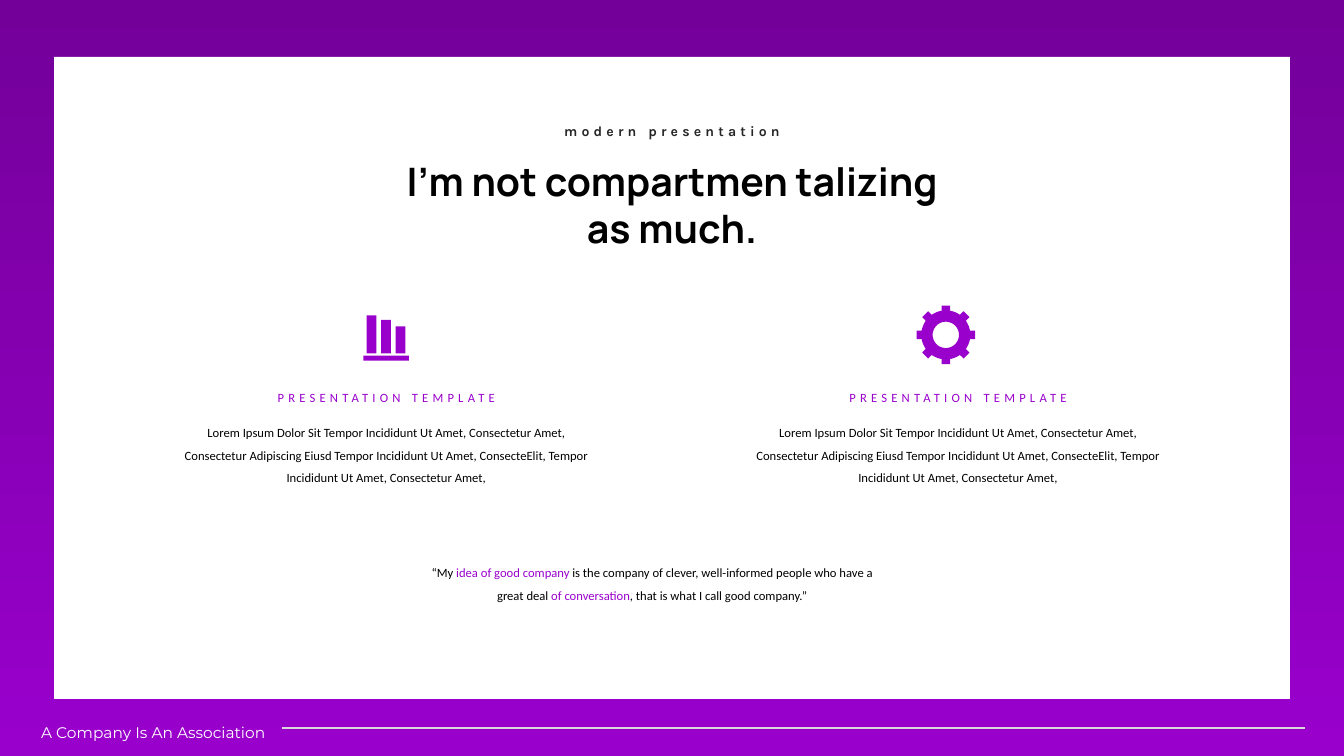
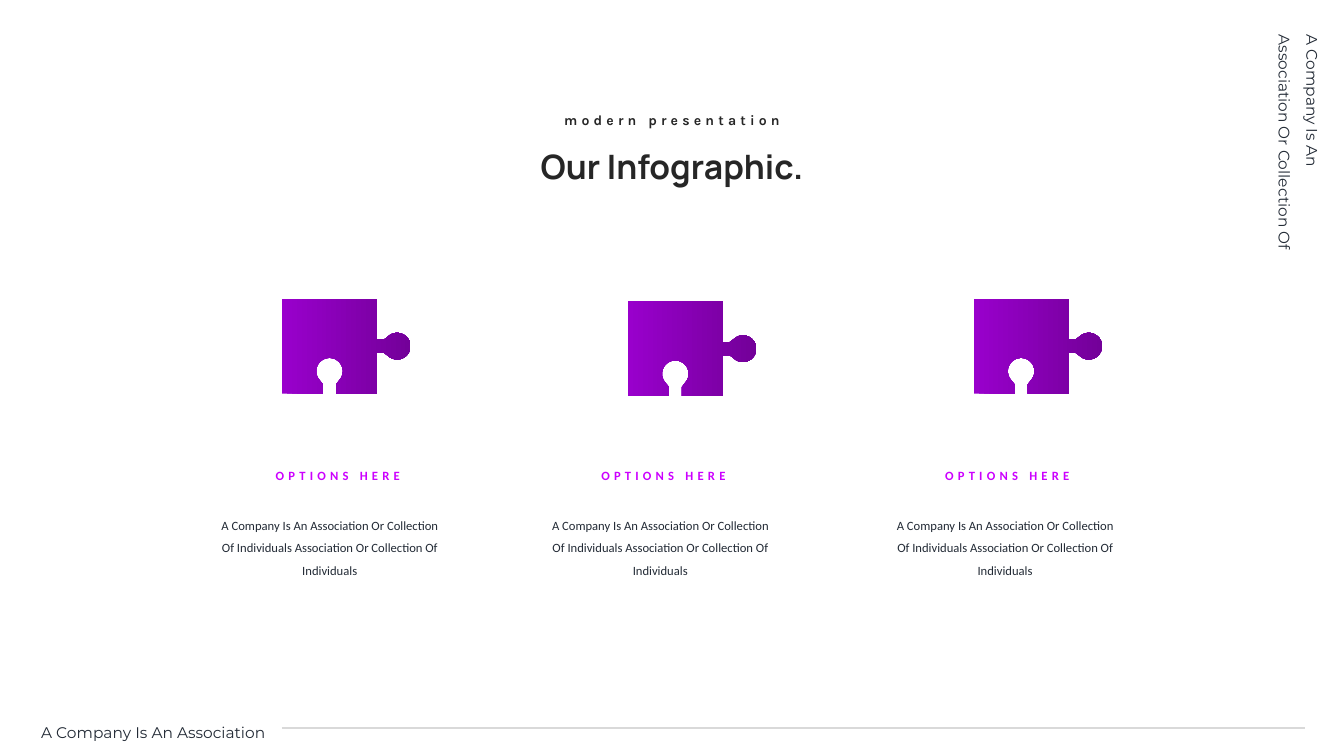
from dataclasses import dataclass
from math import asin, cos, pi, radians, sin

from lxml import etree
from pptx import Presentation
from pptx.dml.color import RGBColor
from pptx.enum import shapes, text
from pptx.oxml.ns import qn
from pptx.util import Pt


@dataclass(frozen=True)
class Theme:
    white: str = "FFFFFF"
    black: str = "000000"
    ink: str = "262626"
    slate: str = "222A35"
    rule: str = "D9D9D9"
    purple: str = "9900CC"
    deep: str = "730099"
    magenta: str = "CC00FF"
    title_font: str = "Manrope"
    kicker_font: str = "Karla"
    body_font: str = "Calibri"
    footer_font: str = "Montserrat"
    title: float = 28
    small_title: float = 24
    kicker: float = 10
    body: float = 9
    footer: float = 11
    tracking: float = 3
    leading: float = 1.5


T = Theme()
W, H = 960, 540
ALIGN = text.PP_ALIGN


def rgb(value):
    return RGBColor.from_string(value)


# Drawing helpers, all in points
def paint(sp, color):
    sp.shadow.inherit = False
    sp.line.fill.background()
    if isinstance(color, str):
        sp.fill.solid()
        sp.fill.fore_color.rgb = rgb(color)
    else:
        first, last, angle = color
        sp.fill.gradient()
        sp.fill.gradient_angle = angle
        for stop, value in zip(sp.fill.gradient_stops, (first, last)):
            stop.color.rgb = rgb(value)


def add_rect(slide, x, y, w, h, color):
    sp = slide.shapes.add_shape(shapes.MSO_SHAPE.RECTANGLE,
                                Pt(x), Pt(y), Pt(w), Pt(h))
    paint(sp, color)


def add_outline(slide, contours, color):
    """Closed contours of (x, y) points; a second contour cuts a hole."""
    scaled = [[(round(x * 100), round(y * 100)) for x, y in c]
              for c in contours]
    fb = slide.shapes.build_freeform(*scaled[0][0], scale=Pt(1) / 100)
    fb.add_line_segments(scaled[0][1:], close=True)
    for contour in scaled[1:]:
        fb.move_to(*contour[0])
        fb.add_line_segments(contour[1:], close=True)
    paint(fb.convert_to_shape(), color)


def add_text(slide, box, runs, font, size, align=ALIGN.CENTER, bold=False,
             tracking=0, leading=None, tight=False, rotation=0):
    sp = slide.shapes.add_textbox(*(Pt(v) for v in box))
    sp.rotation = rotation
    tf = sp.text_frame
    tf.word_wrap = True
    tf.auto_size = text.MSO_AUTO_SIZE.SHAPE_TO_FIT_TEXT
    if tight:
        tf.margin_left = tf.margin_right = tf.margin_top = tf.margin_bottom = 0
        tf.vertical_anchor = text.MSO_ANCHOR.MIDDLE
    p = tf.paragraphs[0]
    p.alignment = align
    if leading:
        p.line_spacing = leading
    for words, color in runs:
        r = p.add_run()
        r.text = words
        r.font.name = font
        r.font.size = Pt(size)
        r.font.bold = bold
        r.font.color.rgb = rgb(color)
        if tracking:
            r._r.get_or_add_rPr().set("spc", str(round(tracking * 100)))


# Parts shared by both slides
def headline(slide, top, title, size, color):
    add_text(slide, (W / 2 - 93.6, top, 187.2, 19.4),
             [("modern presentation", T.ink)],
             T.kicker_font, T.kicker, bold=True, tracking=T.tracking)
    add_text(slide, (W / 2 - 197, top + 24.5, 394, 36), [(title, color)],
             T.title_font, size, bold=True)


def footer(slide, color):
    add_text(slide, (22.3, 506.2, 314, 25), [("A Company Is An Association", color)],
             T.footer_font, T.footer, align=ALIGN.LEFT, leading=T.leading)
    line = slide.shapes.add_connector(shapes.MSO_CONNECTOR.STRAIGHT,
                                      Pt(201.3), Pt(519.8), Pt(932), Pt(519.8))
    line.line.color.rgb = rgb(T.rule)
    line.line.width = Pt(1.5)
    etree.SubElement(line._element.spPr, qn("a:effectLst"))


def arc(cx, cy, radius, start, end, steps):
    angles = (start + (end - start) * i / steps for i in range(steps + 1))
    return [(cx + radius * cos(a), cy + radius * sin(a)) for a in angles]


# Icons
def bars_icon(slide, cx, cy):
    left, bottom = cx - 16.2, cy + 13.3
    add_rect(slide, left, bottom + 1.6, 32.4, 3.6, T.purple)
    for i, height in enumerate((27.2, 24, 19.3)):
        add_rect(slide, left + 2.2 + 10.4 * i, bottom - height, 7, height, T.purple)


def gear_icon(slide, cx, cy):
    teeth, tip, body, hole, half = 8, 20.9, 17.5, 9.4, 3
    step, edge = 2 * pi / teeth, asin(half / body)
    rim = []
    for i in range(teeth):
        a = i * step
        rim += [(cx + tip * cos(a) - side * sin(a),
                 cy + tip * sin(a) + side * cos(a)) for side in (-half, half)]
        rim += arc(cx, cy, body, a + edge, a + step - edge, 8)
    add_outline(slide, [rim, arc(cx, cy, hole, 2 * pi, 0, 48)], T.purple)


def puzzle_key(shift):
    """Neck and round head as (distance out, offset across)."""
    neck, half, head = 5 + shift, 4.7, 14.4 + shift
    turn = radians(123)
    return [(0, -half), (neck, -half), *arc(head, 0, 9.5, -turn, turn, 32),
            (neck, half), (0, half)]


def puzzle_piece(slide, x, y, side=67.8):
    mid = x + side / 2
    knob = [(x + side + out, y + side / 2 + across)
            for out, across in puzzle_key(0)]
    socket = [(mid - across, y + side - out) for out, across in puzzle_key(1.6)]
    outline = [(x, y), (x + side, y), *knob, (x + side, y + side),
               *socket, (x, y + side)]
    add_outline(slide, [outline], (T.purple, T.deep, 0))


# Slide regions
def feature(slide, x, y, icon, icon_shift):
    width = 306.8
    icon(slide, x + width / 2 + icon_shift, y)
    add_text(slide, (x, y + 30, width, 23.8), [("PRESENTATION TEMPLATE", T.purple)],
             T.body_font, T.body, tracking=T.tracking, leading=T.leading)
    add_text(slide, (x, y + 55.3, width, 56),
             [("Lorem Ipsum Dolor Sit Tempor Incididunt Ut Amet, Consectetur Amet, "
               "Consectetur Adipiscing Eiusd Tempor Incididunt Ut Amet, "
               "ConsecteElit, Tempor Incididunt Ut Amet, Consectetur Amet,", T.black)],
             T.body_font, T.body, leading=T.leading)


def quote(slide, x, y):
    add_text(slide, (x, y, 342.7, 40),
             [("“My ", T.black), ("idea of good company ", T.purple),
              ("is the company of clever, well-informed people who have a "
               "great deal ", T.black),
              ("of conversation", T.purple),
              (", that is what I call good company.”", T.black)],
             T.body_font, T.body, leading=T.leading)


def option(slide, piece, label_x, body_x):
    puzzle_piece(slide, *piece)
    add_text(slide, (label_x, 334.1, 125.3, 10.8), [("OPTIONS HERE", T.magenta)],
             T.body_font, T.body, bold=True, tracking=T.tracking, tight=True)
    add_text(slide, (body_x, 360.7, 171.4, 56),
             [("A Company Is An Association Or Collection Of Individuals "
               "Association Or Collection Of Individuals", T.slate)],
             T.body_font, T.body, leading=T.leading)


def side_note(slide):
    add_text(slide, (845.3, 82.1, 173.5, 44.6),
             [("A Company Is An Association Or Collection Of", T.slate)],
             T.footer_font, T.footer, align=ALIGN.LEFT, leading=T.leading,
             rotation=90)


# Slides
def features_slide(slide):
    add_rect(slide, 0, 0, W, H, (T.deep, T.purple, 270))
    add_rect(slide, 38.6, 40.7, 882.8, 458.6, T.white)
    headline(slide, 84.2, "I'm not compartmen talizing as much.", T.title, T.black)
    feature(slide, 122.4, 239.2, bars_icon, 0)
    feature(slide, 530.8, 239.2, gear_icon, -8.6)
    quote(slide, 294.4, 394.6)
    footer(slide, T.white)


def options_slide(slide):
    headline(slide, 76.3, "Our Infographic.", T.small_title, T.ink)
    pieces = ((201.5, 213.4), (448.5, 215.2), (695.5, 213.4))
    for piece, label_x, body_x in zip(pieces, (178.6, 411.2, 656.8),
                                      (149.8, 385.9, 632.2)):
        option(slide, piece, label_x, body_x)
    side_note(slide)
    footer(slide, T.slate)


def main():
    prs = Presentation()
    prs.slide_width, prs.slide_height = Pt(W), Pt(H)
    for build in (features_slide, options_slide):
        build(prs.slides.add_slide(prs.slide_layouts[6]))
    prs.save("out.pptx")


if __name__ == "__main__":
    main()
